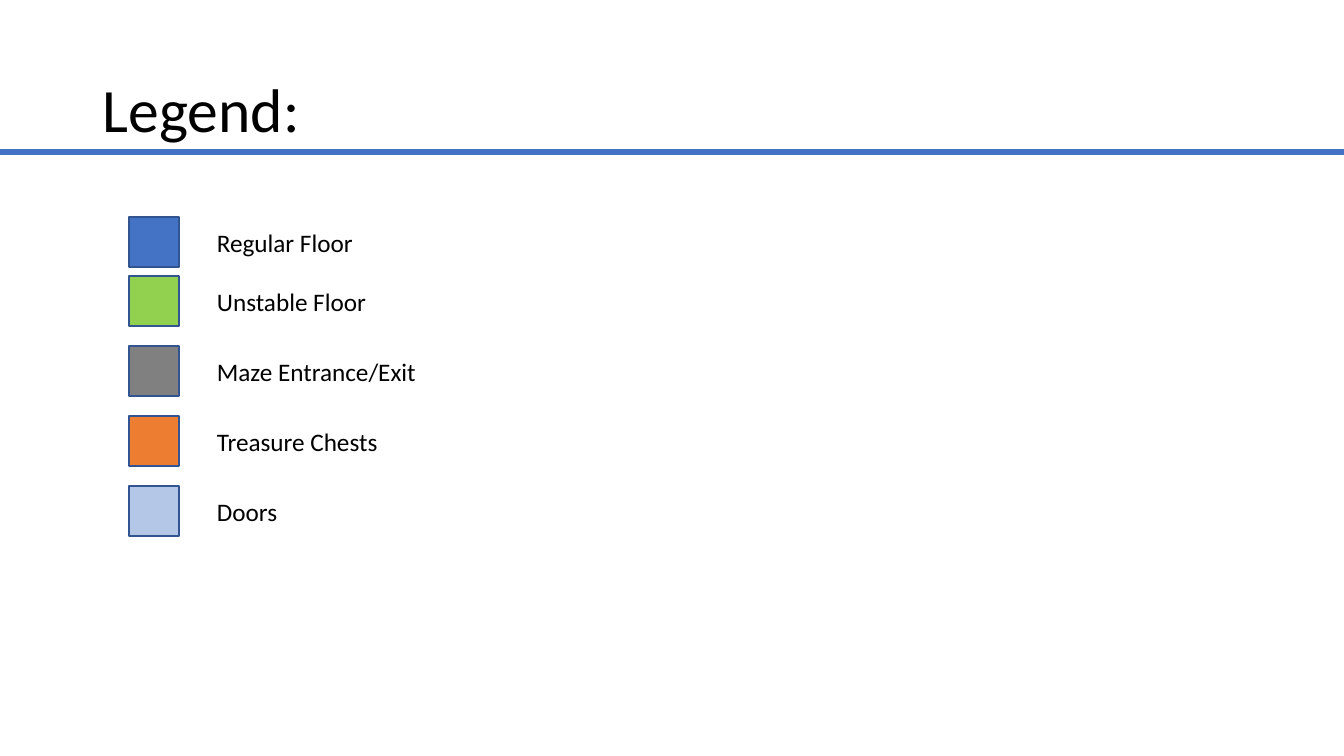
from dataclasses import dataclass

from lxml import etree
from pptx import Presentation
from pptx.dml.color import RGBColor
from pptx.enum.shapes import MSO_CONNECTOR, MSO_SHAPE
from pptx.enum.text import MSO_ANCHOR, MSO_AUTO_SIZE
from pptx.oxml.ns import qn
from pptx.util import Pt

TITLE = "Legend:"
LEGEND = [
    ("Regular Floor", "4472C4"),
    ("Unstable Floor", "92D050"),
    ("Maze Entrance/Exit", "808080"),
    ("Treasure Chests", "ED7D31"),
    ("Doors", "B4C7E7"),
]


@dataclass(frozen=True)
class Theme:
    """Colours, font and sizes in points."""
    font: str = "Calibri"
    text: str = "000000"
    rule: str = "4472C4"
    outline: str = "325491"
    title_size: int = 44
    label_size: int = 18
    rule_width: float = 4.25
    outline_width: int = 1


THEME = Theme()
EMU_PER_PX = 914400 / 100.8
SLIDE_W, SLIDE_H = 1344, 756
TITLE_BOX = (93, 40, 1159, 146)
RULE_Y = 152
SWATCH_X, SWATCH_SIZE = 129, 50
LABEL_X, LABEL_W, LABEL_H = 207, 235, 40
LABEL_DROP = 5
FIRST_TOP, SECOND_TOP, ROW_PITCH = 217, 276, 70


def px(*lengths):
    """Turn pixel lengths into EMU."""
    return [round(length * EMU_PER_PX) for length in lengths]


def add_text(slide, text, box, size, line_spacing=1.0):
    """Add a vertically centred line of text and return its frame."""
    frame = slide.shapes.add_textbox(*px(*box)).text_frame
    frame.word_wrap = True
    frame.vertical_anchor = MSO_ANCHOR.MIDDLE
    paragraph = frame.paragraphs[0]
    paragraph.line_spacing = line_spacing
    run = paragraph.add_run()
    run.text = text
    run.font.name = THEME.font
    run.font.size = Pt(size)
    run.font.color.rgb = RGBColor.from_string(THEME.text)
    return frame


def add_rule(slide):
    """Draw the full-width line under the title."""
    rule = slide.shapes.add_connector(
        MSO_CONNECTOR.STRAIGHT, *px(0, RULE_Y, SLIDE_W, RULE_Y))
    rule.line.color.rgb = RGBColor.from_string(THEME.rule)
    rule.line.width = Pt(THEME.rule_width)
    etree.SubElement(rule._element.spPr, qn("a:effectLst"))


def add_legend_row(slide, label, color, top):
    """Add one colour swatch with its label."""
    swatch = slide.shapes.add_shape(
        MSO_SHAPE.RECTANGLE, *px(SWATCH_X, top, SWATCH_SIZE, SWATCH_SIZE))
    swatch.shadow.inherit = False
    swatch.fill.solid()
    swatch.fill.fore_color.rgb = RGBColor.from_string(color)
    swatch.line.color.rgb = RGBColor.from_string(THEME.outline)
    swatch.line.width = Pt(THEME.outline_width)
    box = (LABEL_X, top + LABEL_DROP, LABEL_W, LABEL_H)
    frame = add_text(slide, label, box, THEME.label_size)
    frame.auto_size = MSO_AUTO_SIZE.SHAPE_TO_FIT_TEXT


def row_top(index):
    """Return a row's top; the first row sits closer to the second."""
    return SECOND_TOP + (index - 1) * ROW_PITCH if index else FIRST_TOP


def main():
    """Build and save the legend slide."""
    deck = Presentation()
    deck.slide_width, deck.slide_height = px(SLIDE_W, SLIDE_H)
    slide = deck.slides.add_slide(deck.slide_layouts[6])
    add_text(slide, TITLE, TITLE_BOX, THEME.title_size, line_spacing=0.9)
    for index, (label, color) in enumerate(LEGEND):
        add_legend_row(slide, label, color, row_top(index))
    add_rule(slide)
    deck.save("out.pptx")


main()
